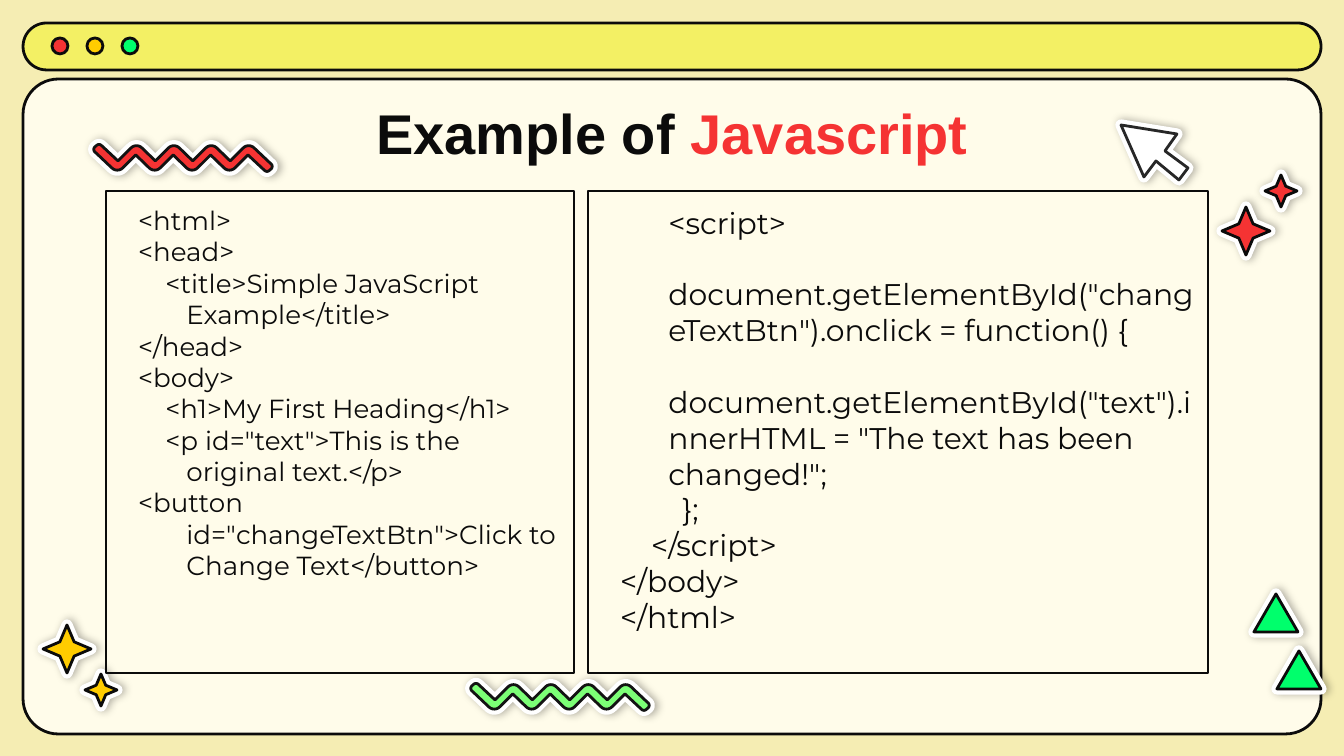
from dataclasses import dataclass

from pptx import Presentation
from pptx.dml.color import RGBColor
from pptx.enum.shapes import MSO_SHAPE
from pptx.enum.text import MSO_ANCHOR, PP_ALIGN
from pptx.oxml import parse_xml
from pptx.oxml.ns import nsdecls
from pptx.util import Inches, Pt

PX = 9144000 / 1344

INK = RGBColor(0x0B, 0x0B, 0x0B)
WAVE_INK = RGBColor(0x13, 0x13, 0x13)
ARROW_INK = RGBColor(0x27, 0x27, 0x27)
WHITE = RGBColor(0xFF, 0xFF, 0xFF)
SAND = RGBColor(0xF5, 0xED, 0xB3)
CREAM = RGBColor(0xFF, 0xFC, 0xEA)
LEMON = RGBColor(0xF3, 0xF0, 0x64)
RED = RGBColor(0xF5, 0x33, 0x33)
YELLOW = RGBColor(0xFF, 0xCC, 0x00)
GREEN = RGBColor(0x00, 0xFF, 0x6C)
LIME = RGBColor(0x7C, 0xFF, 0x76)

WAVE_W, WAVE_H, WAVE_PERIOD = 178, 28, 37.4
SHADOW = (
    f'<a:effectLst {nsdecls("a")}><a:outerShdw blurRad="57150" dist="19050" dir="0" '
    'algn="bl" rotWithShape="0"><a:srgbClr val="000000"><a:alpha val="29000"/>'
    "</a:srgbClr></a:outerShdw></a:effectLst>"
)

Point = tuple[float, float]


@dataclass(frozen=True)
class Box:
    x: int
    y: int
    w: int
    h: int


@dataclass(frozen=True)
class Sticker:
    kind: MSO_SHAPE
    box: Box
    color: RGBColor


@dataclass(frozen=True)
class Outline:
    points: list[Point]
    color: RGBColor
    ink: RGBColor


@dataclass(frozen=True)
class CodePanel:
    box: Box
    size: int
    lines: list[str]


def px(n: float) -> int:
    return round(n * PX)


def paint(sp, fill: RGBColor | None, ink: RGBColor, width: float) -> None:
    sp.shadow.inherit = False
    if fill is None:
        sp.fill.background()
    else:
        sp.fill.solid()
        sp.fill.fore_color.rgb = fill
    sp.line.color.rgb = ink
    sp.line.width = Pt(width)


def add_preset(s, kind: MSO_SHAPE, box: Box, fill: RGBColor | None,
               ink: RGBColor = INK, width: float = 1.5, adj: float | None = None):
    sp = s.shapes.add_shape(kind, px(box.x), px(box.y), px(box.w), px(box.h))
    if adj is not None:
        sp.adjustments[0] = adj
    paint(sp, fill, ink, width)
    return sp


def add_outline(s, points: list[Point], fill: RGBColor, ink: RGBColor, width: float):
    start, *rest = [(px(x), px(y)) for x, y in points]
    builder = s.shapes.build_freeform(*start)
    builder.add_line_segments(rest, close=True)
    sp = builder.convert_to_shape()
    paint(sp, fill, ink, width)
    return sp


def drop_shadow(sp) -> None:
    props = sp.fill._xPr
    props.replace(props.find("{*}effectLst"), parse_xml(SHADOW))


def draw_sticker(s, item: Sticker | Outline) -> None:
    ink = item.ink if isinstance(item, Outline) else INK
    for fill, line, width in ((WHITE, WHITE, 6), (item.color, ink, 1.5)):
        if isinstance(item, Outline):
            sp = add_outline(s, item.points, fill, line, width)
        else:
            adj = 0.21 if item.kind == MSO_SHAPE.STAR_4_POINT else None
            sp = add_preset(s, item.kind, item.box, fill, line, width, adj)
        if line == WHITE:
            drop_shadow(sp)


def bezier(*ctrl: Point, steps: int = 6) -> list[Point]:
    def at(t: float) -> Point:
        weights = ((1 - t) ** 3, 3 * t * (1 - t) ** 2, 3 * t * t * (1 - t), t ** 3)
        x, y = (sum(w * c[i] for w, c in zip(weights, ctrl)) for i in (0, 1))
        return x, y
    return [at(i / steps) for i in range(steps + 1)]


def wave(left: int, top: int) -> list[Point]:
    edge = bezier((2, 9), (-1, 7), (-1, 4), (2, 2)) + bezier((2, 2), (4, 0), (6, 0), (8, 2))
    for i in range(4):
        x = i * WAVE_PERIOD
        edge.append((x + 24, 17))
        edge += bezier((x + 37, 4), (x + 40, 1), (x + 45, 1), (x + 48, 4))
    edge += [(WAVE_W - x, WAVE_H - y) for x, y in edge]
    return [(left + x, top + y) for x, y in edge]


def draw_title(s, box: Box) -> None:
    sp = s.shapes.add_textbox(px(box.x), px(box.y), px(box.w), px(box.h))
    tf = sp.text_frame
    tf.word_wrap = True
    tf.margin_top = px(20)
    tf.margin_bottom = 0
    p = tf.paragraphs[0]
    p.alignment = PP_ALIGN.CENTER
    for text, color in (("Example of ", INK), ("Javascript", RED)):
        r = p.add_run()
        r.text = text
        r.font.name = "Arial"
        r.font.size = Pt(30)
        r.font.bold = True
        r.font.color.rgb = color


def draw_code(s, panel: CodePanel) -> None:
    sp = add_preset(s, MSO_SHAPE.RECTANGLE, panel.box, None, width=0.75)
    tf = sp.text_frame
    tf.word_wrap = True
    tf.vertical_anchor = MSO_ANCHOR.TOP
    tf.margin_left = tf.margin_right = tf.margin_top = tf.margin_bottom = Inches(0.1)
    tf.text = "\n".join(panel.lines)
    for p in tf.paragraphs:
        p.alignment = PP_ALIGN.LEFT
        props = p._p.get_or_add_pPr()
        props.set("marL", str(Inches(0.5)))
        props.set("indent", str(Inches(-0.36)))
        for r in p.runs:
            r.font.name = "Montserrat"
            r.font.size = Pt(panel.size)
            r.font.color.rgb = INK


ARROW = [(1156, 161), (1144, 177), (1121, 125), (1177, 134), (1165, 151), (1188, 168), (1179, 180)]

STICKERS = [
    Sticker(MSO_SHAPE.ISOSCELES_TRIANGLE, Box(1254, 594, 44, 38), GREEN),
    Sticker(MSO_SHAPE.ISOSCELES_TRIANGLE, Box(1277, 651, 44, 38), GREEN),
    Outline(wave(94, 144), RED, WAVE_INK),
    Outline(ARROW, WHITE, ARROW_INK),
    Outline(wave(471, 683), LIME, WAVE_INK),
    Sticker(MSO_SHAPE.STAR_4_POINT, Box(43, 625, 48, 48), YELLOW),
    Sticker(MSO_SHAPE.STAR_4_POINT, Box(85, 674, 32, 32), YELLOW),
    Sticker(MSO_SHAPE.STAR_4_POINT, Box(1222, 207, 48, 48), RED),
    Sticker(MSO_SHAPE.STAR_4_POINT, Box(1265, 175, 32, 32), RED),
]

PANELS = [
    CodePanel(Box(106, 191, 468, 482), 14, [
        "<html>",
        "<head>",
        "    <title>Simple JavaScript Example</title>",
        "</head>",
        "<body>",
        "    <h1>My First Heading</h1>",
        '    <p id="text">This is the original text.</p>',
        '<button id="changeTextBtn">Click to Change Text</button>',
    ]),
    CodePanel(Box(588, 191, 620, 482), 16, [
        "\t<script>",
        '\tdocument.getElementById("changeTextBtn").onclick = function() {',
        '            document.getElementById("text").innerHTML = "The text has been changed!";',
        "        };",
        "    </script>",
        "</body>",
        "</html>",
    ]),
]

prs = Presentation()
prs.slide_width, prs.slide_height = px(1344), px(756)
s = prs.slides.add_slide(prs.slide_layouts[6])
s.background.fill.solid()
s.background.fill.fore_color.rgb = SAND

add_preset(s, MSO_SHAPE.ROUNDED_RECTANGLE, Box(23, 79, 1298, 655), CREAM, adj=0.054)
add_preset(s, MSO_SHAPE.ROUNDED_RECTANGLE, Box(23, 23, 1298, 47), LEMON, adj=0.5)
for i, color in enumerate((RED, YELLOW, GREEN)):
    add_preset(s, MSO_SHAPE.OVAL, Box(52 + 35 * i, 38, 16, 16), color)

draw_title(s, Box(106, 79, 1132, 85))
for item in STICKERS:
    draw_sticker(s, item)
for panel in PANELS:
    draw_code(s, panel)

prs.save("out.pptx")
